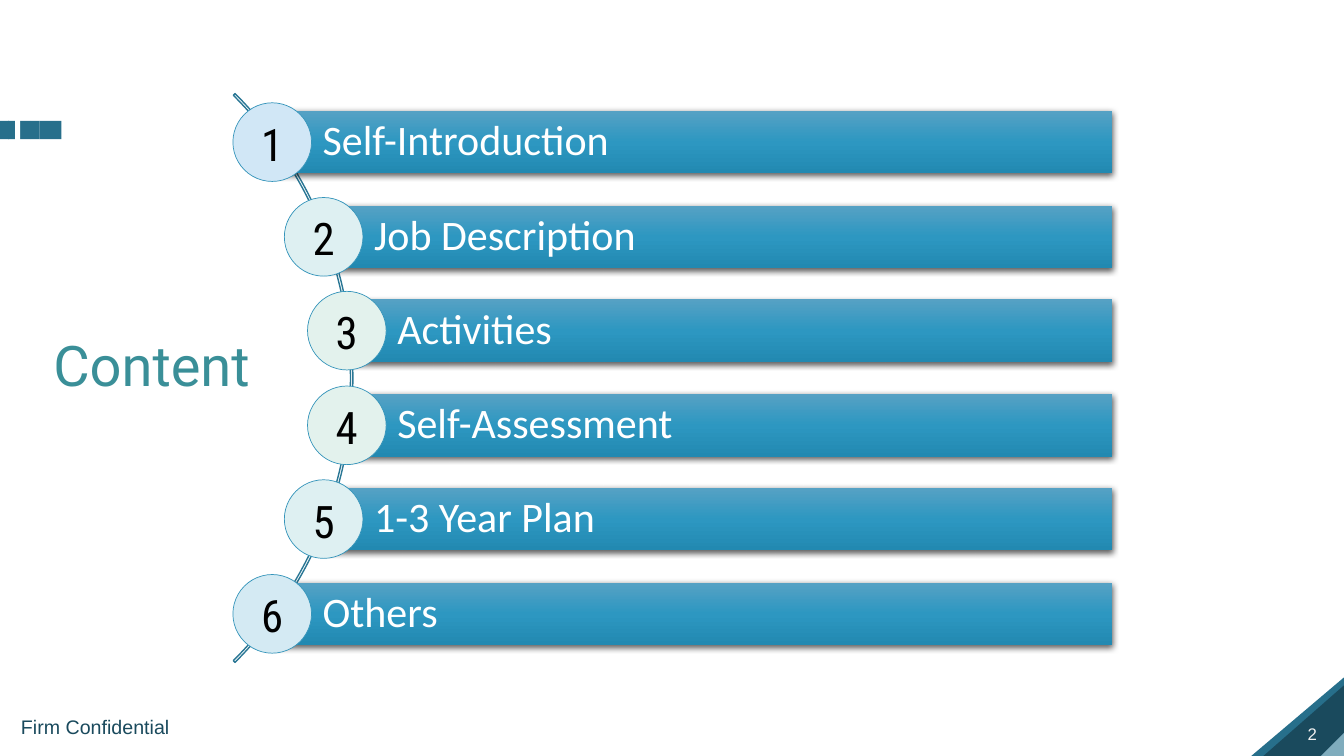
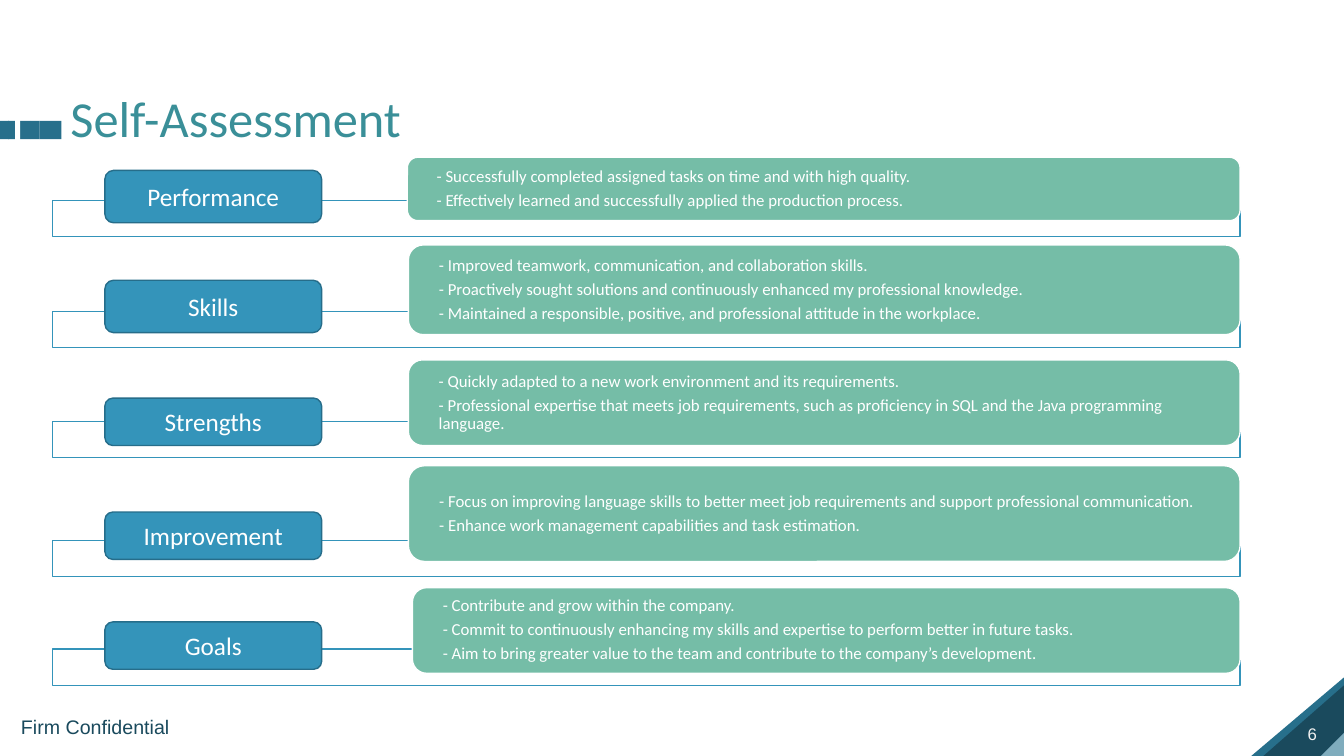
from dataclasses import dataclass
from math import sqrt

from lxml import etree
from pptx import Presentation
from pptx import util as u
from pptx.dml.color import RGBColor
from pptx.enum import shapes, text
from pptx.oxml import parse_xml
from pptx.oxml.ns import nsdecls, qn

PX = 9144  # 100 px to the inch
WIDE, HIGH = 1333, 750
KIND = shapes.MSO_SHAPE
LEFT, MID = text.PP_ALIGN.LEFT, text.PP_ALIGN.CENTER


@dataclass(frozen=True)
class Theme:
    # Colours
    white: str = "FFFFFF"
    black: str = "000000"
    blue: str = "3494BA"
    edge: str = "266D8A"
    arc: str = "2A7795"
    band: str = "276F8B"
    navy: str = "1A4A5D"
    pale: str = "AAD6E7"
    teal: str = "3A8F98"
    green: str = "75BDA7"
    grey: str = "F2F2F2"
    fade: tuple = ((0, "56A1C4"), (50, "2D97C1"), (100, "2289B1"))
    # Typefaces
    body: str = "Calibri"
    head: str = "Roboto"
    digit: str = "Roboto Condensed"
    foot: str = "Arial"
    # Type sizes
    cover: int = 40
    title: int = 36
    count: int = 32
    item: int = 30
    label: int = 18
    note: int = 14
    small: int = 12


T = Theme()

STEPS = [("Self-Introduction", "D1E7F6"), ("Job Description", "DEF0F2"),
         ("Activities", "E3F2ED"), ("Self-Assessment", "E3F2ED"),
         ("1-3 Year Plan", "DEF0F2"), ("Others", "D4EAF3")]

# Label, its top and height, strip top, panel left, top and height, lines
ROWS = [
    ("Performance", 169, 52, 199, 404, 156, 63,
     ["- Successfully completed assigned tasks on time and with high quality.",
      "- Effectively learned and successfully applied the production process."]),
    ("Skills", 278, 52, 309, 405, 243, 89,
     ["- Improved teamwork, communication, and collaboration skills.",
      "- Proactively sought solutions and continuously enhanced my professional knowledge.",
      "- Maintained a responsible, positive, and professional attitude in the workplace."]),
    ("Strengths", 395, 47, 418, 405, 357, 85,
     ["- Quickly adapted to a new work environment and its requirements.",
      "- Professional expertise that meets job requirements, such as proficiency"
      " in SQL and the Java programming language."]),
    ("Improvement", 508, 47, 536, 405, 462, 95,
     ["- Focus on improving language skills to better meet job requirements"
      " and support professional communication.",
      "- Enhance work management capabilities and task estimation."]),
    ("Goals", 617, 47, 644, 409, 583, 85,
     ["- Contribute and grow within the company.",
      "- Commit to continuously enhancing my skills and expertise"
      " to perform better in future tasks.",
      "- Aim to bring greater value to the team and contribute"
      " to the company’s development."]),
]


def px(*nums):
    return [u.Emu(round(n * PX)) for n in nums]


def style(item, form):
    for name, value in form.items():
        setattr(item, name, value)


def write(shape, lines, font, size, ink, align=LEFT, inset=(10, 5, 10, 5),
          anchor=text.MSO_ANCHOR.MIDDLE, **para):
    """Fill a shape with one paragraph a line; para holds paragraph formats."""
    frame = shape.text_frame
    sides = ("margin_left", "margin_top", "margin_right", "margin_bottom")
    style(frame, {"word_wrap": True, "vertical_anchor": anchor,
                  **dict(zip(sides, px(*inset)))})
    frame.text = "\n".join(lines)
    for line in frame.paragraphs:
        style(line, {"alignment": align, **para})
        style(line.runs[0].font, {"name": font, "size": u.Pt(size)})
        line.runs[0].font.color.rgb = RGBColor.from_string(ink)


def tight(size):
    return {"line_spacing": 0.9, "space_after": u.Pt(0.35 * size)}


def label(slide, box, words, font, size, ink, **form):
    shape = slide.shapes.add_textbox(*px(*box))
    write(shape, [words], font, size, ink,
          anchor=text.MSO_ANCHOR.TOP, **form)


def draw(slide, kind, box, fill=None, line=None, width=1, turn=0):
    shape = slide.shapes.add_shape(kind, *px(*box))
    style(shape, {"rotation": turn})
    style(shape.shadow, {"inherit": False})
    if fill:
        shape.fill.solid()
        shape.fill.fore_color.rgb = RGBColor.from_string(fill)
    else:
        shape.fill.background()
    if line:
        shape.line.color.rgb = RGBColor.from_string(line)
        shape.line.width = u.Pt(width)
    else:
        shape.line.fill.background()
    return shape


def blend(shape):
    """Give a bar its three-stop gradient and its drop shadow."""
    props = shape.element.spPr
    stops = "".join(f'<a:gs pos="{at * 1000}"><a:srgbClr val="{ink}"/></a:gs>'
                    for at, ink in T.fade)
    props.replace(props.find(qn("a:noFill")), parse_xml(
        f'<a:gradFill {nsdecls("a")} rotWithShape="1"><a:gsLst>{stops}</a:gsLst>'
        '<a:lin ang="5400000" scaled="0"/></a:gradFill>'))
    props.find(qn("a:effectLst")).append(parse_xml(
        f'<a:outerShdw {nsdecls("a")} blurRad="{u.Pt(4.5)}" dist="{u.Pt(1.5)}"'
        ' dir="5400000" algn="ctr" rotWithShape="0">'
        f'<a:srgbClr val="{T.black}"><a:alpha val="63000"/></a:srgbClr>'
        '</a:outerShdw>'))


def fade(shape, share):
    ink = shape.element.spPr.find(qn("a:solidFill"))[0]
    etree.SubElement(ink, qn("a:alpha"), val=str(share * 1000))


def page(deck, num, title, box, font, size):
    """Add a slide with corner, side band, footer and title."""
    slide = deck.slides.add_slide(deck.slide_layouts[6])
    # Corner
    for spot, ink in (((1248, 665, 78, 92), T.band),
                      ((1258, 674, 71, 81), T.navy),
                      ((1310, 727, 23, 23), T.pale)):
        wedge = draw(slide, KIND.RIGHT_TRIANGLE, spot, ink, turn=270)
    fade(wedge, 70)
    label(slide, (1287, 713, 44, 30), str(num), T.foot, T.small, T.grey)
    # Side band
    for left, wide in ((0, 9), (8, 22), (30, 9), (39, 22)):
        draw(slide, KIND.RECTANGLE, (left, 120, wide, 18), T.band)
    draw(slide, KIND.RECTANGLE, (15, 108, 5, 51), T.white)
    # Footer and title
    label(slide, (11, 704, 200, 34), "Firm Confidential", T.foot, T.note, T.navy)
    label(slide, box, title, font, size, T.teal, line_spacing=0.9)
    return slide


def agenda(slide):
    """Bars whose numbered discs lie along an arc."""
    hub, mid, reach, ring = -49, 375, 396, 399
    gap, disc, bar, right = 93.6, 78, 62, 1103
    arc = draw(slide, KIND.BLOCK_ARC,
               (hub - ring, mid - ring, 2 * ring, 2 * ring), line=T.arc)
    for spot, value in enumerate((189, 27, 0.003)):
        arc.adjustments[spot] = value
    for num, (words, tint) in enumerate(STEPS):
        drop = (num - (len(STEPS) - 1) / 2) * gap
        left = round(hub + sqrt(reach ** 2 - drop ** 2))
        top = round(mid + drop)
        strip = draw(slide, KIND.RECTANGLE,
                     (left, top - bar // 2, right - left, bar))
        blend(strip)
        write(strip, [words], T.body, T.item, T.white,
              inset=(50, 8, 8, 8), **tight(T.item))
        dot = draw(slide, KIND.OVAL,
                   (left - disc // 2, top - disc // 2, disc, disc),
                   tint, T.blue, 0.5)
        write(dot, [str(num + 1)], T.digit, T.count, T.black, MID,
              inset=(0, 2, 0, 0))


def review(slide):
    """Strips, each with a panel of points and a label."""
    end = 1230
    for name, top, high, strip, left, over, tall, lines in ROWS:
        draw(slide, KIND.RECTANGLE, (52, strip, end - 52, 36), T.white, T.blue)
        panel = draw(slide, KIND.ROUNDED_RECTANGLE,
                     (left, over, end - left, tall), T.green, T.white)
        write(panel, lines, T.body, T.small, T.white,
              inset=(26, 0, 26, 0), **tight(T.small))
        tag = draw(slide, KIND.ROUNDED_RECTANGLE,
                   (104, top, 215, high), T.blue, T.edge)
        write(tag, [name], T.body, T.label, T.white, MID)


def main():
    deck = Presentation()
    style(deck, dict(zip(("slide_width", "slide_height"), px(WIDE, HIGH))))
    agenda(page(deck, 2, "Content", (43, 331, 229, 44), T.head, T.cover))
    review(page(deck, 6, "Self-Assessment", (60, 88, 445, 60),
                T.body, T.title))
    deck.save("out.pptx")


if __name__ == "__main__":
    main()
